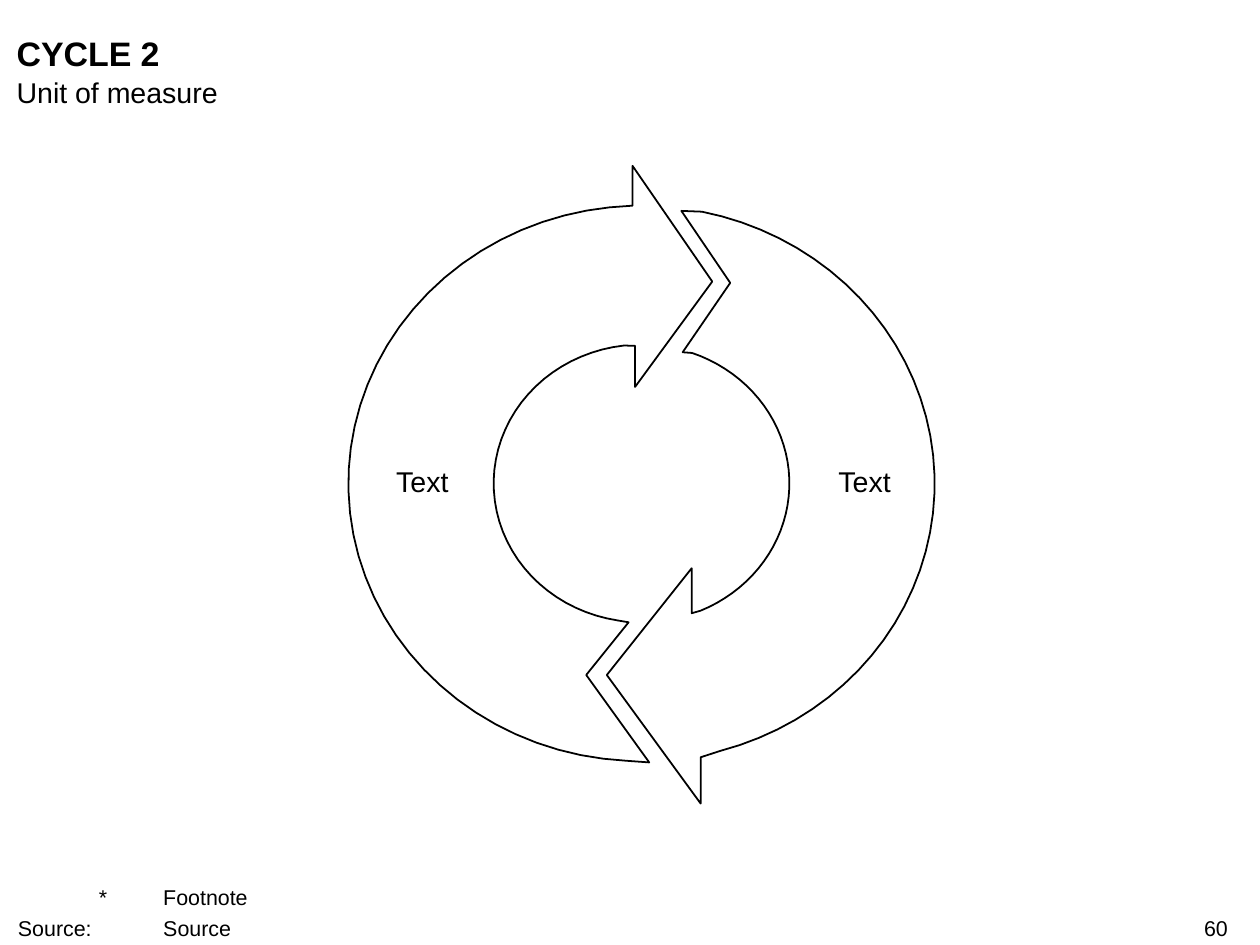
from math import atan2, cos, degrees, radians, sin

from lxml.etree import SubElement
from pptx import Presentation
from pptx.dml.color import RGBColor
from pptx.enum.text import MSO_ANCHOR, PP_ALIGN
from pptx.oxml.ns import qn
from pptx.util import Pt

SCALE = 9144
CENTER = (499, 376)
OUTER, INNER = (228, 216), (115, 108)
ARC_STEPS = 40
FOOTER_TABS = [(0, "l"), (58, "r")] + [(98 * step, "l") for step in range(1, 7)]
FOOTER_INDENT = 63


def px(length):
    """Turn px into EMU."""
    return round(length * SCALE)


def color(value):
    """Turn a hex string into a colour."""
    return RGBColor.from_string(value)


def add_text(page, bounds, text, size, bold=False, align=PP_ALIGN.LEFT, anchor=MSO_ANCHOR.TOP):
    """Add a text box without margins and return its text frame."""
    frame = page.shapes.add_textbox(*map(px, bounds)).text_frame
    frame.margin_left = frame.margin_right = frame.margin_top = frame.margin_bottom = 0
    frame.word_wrap = True
    frame.vertical_anchor = anchor
    frame.text = text
    for para in frame.paragraphs:
        para.alignment = align
        for span in para.runs:
            span.font.name = "Arial"
            span.font.size = Pt(size)
            span.font.bold = bold
            span.font.color.rgb = color("000000")
    return frame


def set_tabs(para, indent, stops):
    """Give a paragraph a hanging indent and tab stops."""
    properties = para._p.get_or_add_pPr()
    properties.set("marL", str(px(indent)))
    properties.set("indent", str(px(-indent)))
    tabs = SubElement(properties, qn("a:tabLst"))
    for position, align in stops:
        SubElement(tabs, qn("a:tab"), pos=str(px(position)), algn=align)


def arc(radius, start, end, direction):
    """List points along an ellipse between two points, clockwise for direction 1."""
    first, last = (
        degrees(atan2((y - CENTER[1]) / radius[1], (x - CENTER[0]) / radius[0]))
        for x, y in (start, end)
    )
    sweep = (last - first) * direction % 360 * direction
    angles = [radians(first + sweep * step / ARC_STEPS) for step in range(1, ARC_STEPS)]
    middle = [
        (CENTER[0] + radius[0] * cos(angle), CENTER[1] + radius[1] * sin(angle))
        for angle in angles
    ]
    return [start, *middle, end]


def add_outline(page, points):
    """Add a closed white outline with a black line."""
    first, *rest = [(px(x), px(y)) for x, y in points]
    builder = page.shapes.build_freeform(*first)
    builder.add_line_segments(rest, close=True)
    shape = builder.convert_to_shape()
    shape.shadow.inherit = False
    shape.fill.solid()
    shape.fill.fore_color.rgb = color("FFFFFF")
    shape.line.color.rgb = color("000000")
    shape.line.width = Pt(1)


def add_cycle_arrow(page, outer_ends, notch, inner_ends, head):
    """Add a half ring with a notched tail and an arrowhead."""
    outer = arc(OUTER, *outer_ends, -1)
    inner = arc(INNER, *inner_ends, 1)
    add_outline(page, [*outer, notch, *inner, *head])


def add_footer(page):
    """Add the footnote and source lines."""
    frame = add_text(page, (14, 688, 893, 44), "\t*\tFootnote\nSource:\t\tSource", 12,
                     anchor=MSO_ANCHOR.BOTTOM)
    frame.paragraphs[1].space_before = Pt(3)
    for para in frame.paragraphs:
        set_tabs(para, FOOTER_INDENT, FOOTER_TABS)


def main():
    """Build the cycle slide."""
    deck = Presentation()
    deck.slide_width, deck.slide_height = px(980), px(735)
    page = deck.slides.add_slide(deck.slide_layouts[6])

    add_text(page, (13, 25, 943, 32), "CYCLE 2", 19, bold=True)
    add_cycle_arrow(page, [(545, 589), (530, 164)], (568, 220),
                    [(531, 274), (538, 477)], [(538, 442), (472, 525), (545, 625)])
    add_cycle_arrow(page, [(492, 160), (505, 593)], (456, 525),
                    [(489, 484), (494, 269)], [(494, 301), (554, 219), (492, 129)])
    for left in (274, 618):
        add_text(page, (left, 361, 109, 27), "Text", 16,
                 align=PP_ALIGN.CENTER, anchor=MSO_ANCHOR.MIDDLE)
    add_text(page, (13, 58, 943, 27), "Unit of measure", 16)
    add_footer(page)
    add_text(page, (751, 712, 204, 20), "60", 12, align=PP_ALIGN.RIGHT)
    deck.save("out.pptx")


if __name__ == "__main__":
    main()
